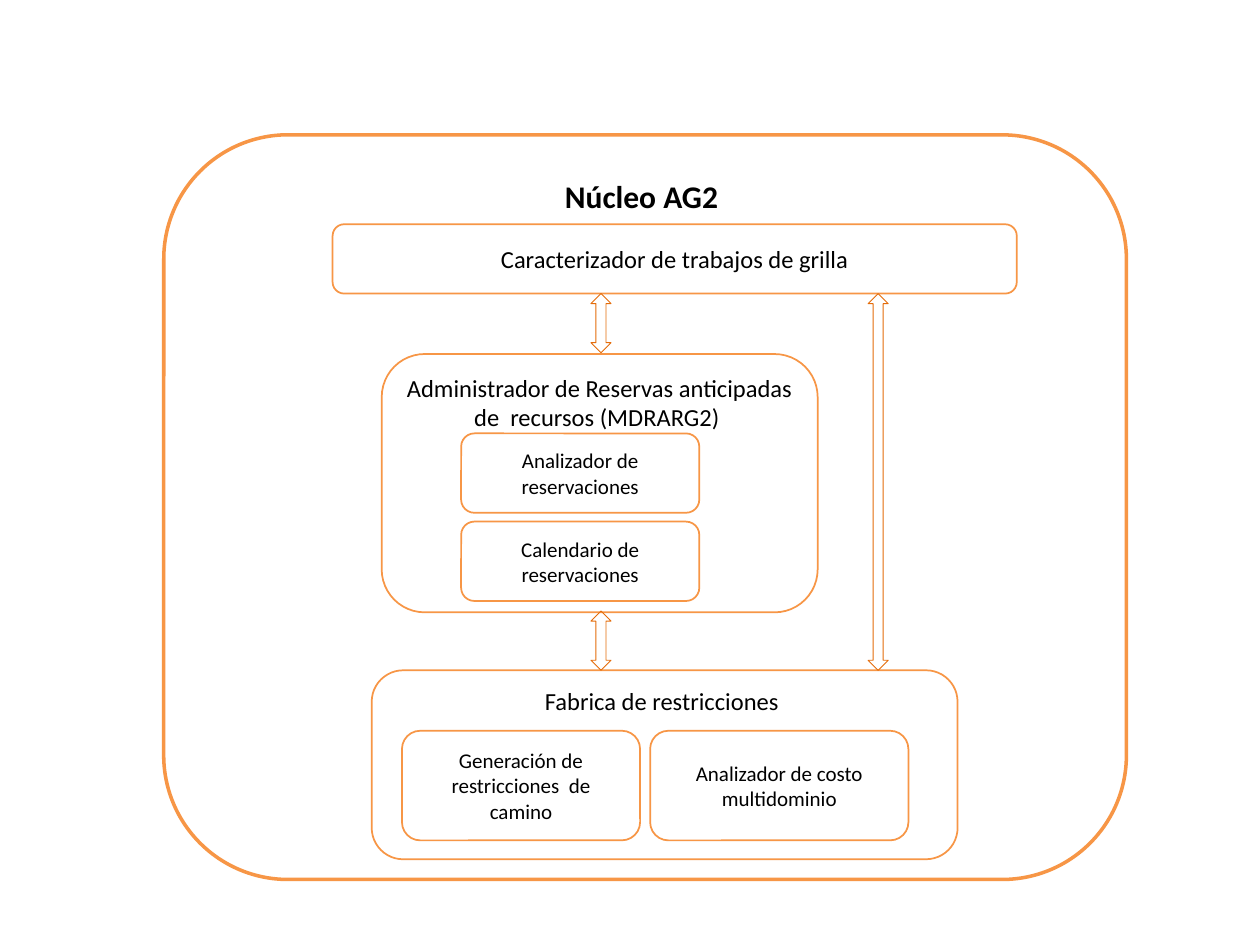
from pptx import Presentation
from pptx.dml.color import RGBColor
from pptx.enum.shapes import MSO_SHAPE
from pptx.enum.text import MSO_ANCHOR, PP_ALIGN
from pptx.util import Inches, Pt

ROUNDED = MSO_SHAPE.ROUNDED_RECTANGLE
DOUBLE_ARROW = MSO_SHAPE.UP_DOWN_ARROW
TOP = MSO_ANCHOR.TOP
MIDDLE = MSO_ANCHOR.MIDDLE
CENTER = PP_ALIGN.CENTER

COLORS = {"fill": "FFFFFF", "border": "F79646", "arrow": "E46C0A", "text": "000000"}
FONT = "Calibri"
ARROW_WIDTH = 0.16


def color(name):
    """Return the named palette colour."""
    return RGBColor.from_string(COLORS[name])


def add_outline(page, kind, bounds, line_color, line_width):
    """Add an outlined shape without shadow."""
    shape = page.shapes.add_shape(kind, *map(Inches, bounds))
    shape.shadow.inherit = False
    shape.line.color.rgb = color(line_color)
    shape.line.width = Pt(line_width)
    return shape


def add_box(page, text, bounds, size, anchor=MIDDLE, bold=False, line_width=1):
    """Add a rounded box with centred text."""
    box = add_outline(page, ROUNDED, bounds, "border", line_width)
    box.fill.solid()
    box.fill.fore_color.rgb = color("fill")
    frame = box.text_frame
    frame.word_wrap = True
    frame.vertical_anchor = anchor
    para = frame.paragraphs[0]
    para.alignment = CENTER
    span = para.add_run()
    span.text = text
    span.font.name = FONT
    span.font.size = Pt(size)
    span.font.bold = bold
    span.font.color.rgb = color("text")


def add_arrow(page, center, top, bottom):
    """Add a vertical double arrow between two heights."""
    bounds = (center - ARROW_WIDTH / 2, top, ARROW_WIDTH, bottom - top)
    arrow = add_outline(page, DOUBLE_ARROW, bounds, "arrow", 0.5)
    arrow.fill.background()


def main():
    """Build the core architecture slide."""
    deck = Presentation()
    deck.slide_width = Inches(10)
    deck.slide_height = Inches(7.5)
    page = deck.slides.add_slide(deck.slide_layouts[6])

    add_box(page, "Núcleo AG2 ", (1.3, 1.07, 7.64, 5.91), 18, TOP, bold=True, line_width=2)
    add_box(page, "Caracterizador de trabajos de grilla", (2.64, 1.78, 5.43, 0.55), 14)

    add_box(page, "Fabrica de restricciones ", (2.95, 5.32, 4.65, 1.5), 14, TOP)
    for text, left, width in (
        ("Generación de restricciones  de camino", 3.19, 1.89),
        ("Analizador de costo multidominio", 5.16, 2.05),
    ):
        add_box(page, text, (left, 5.8, width, 0.87), 12)

    manager = "Administrador de Reservas anticipadas de  recursos (MDRARG2) "
    add_box(page, manager, (3.03, 2.81, 3.46, 2.05), 14, TOP)
    for row, text in enumerate(("Analizador de reservaciones", "Calendario de reservaciones")):
        add_box(page, text, (3.66, 3.44 + row * 0.7, 1.89, 0.63), 12)

    for center, top, bottom in ((6.97, 2.33, 5.32), (4.77, 2.33, 2.8), (4.77, 4.85, 5.32)):
        add_arrow(page, center, top, bottom)

    deck.save("out.pptx")


if __name__ == "__main__":
    main()
